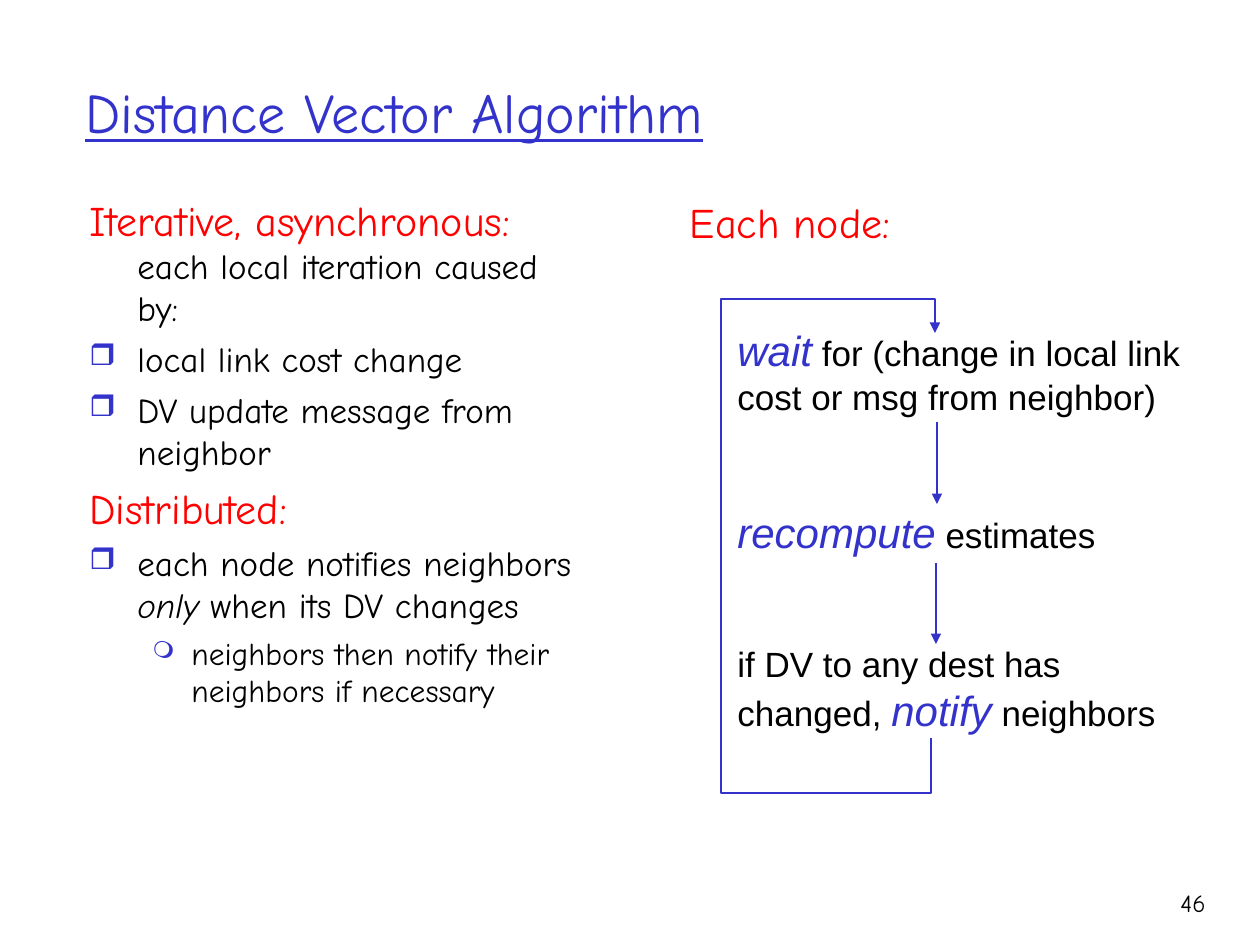
import pptx
import pptx.dml.color
import pptx.enum.shapes
import pptx.enum.text
import pptx.oxml.ns
import pptx.util
from lxml import etree

PX = 914400 / 126  # EMU in one px

THEME = {
    "accent": "3333CC", "heading": "FF0000", "body": "000000",
    "comic": "Comic Neue", "sans": "Arial",
    "title": 32, "large": 24, "text": 20, "sub": 18, "number": 14,
    "line": 1.5,
}

ALIGN = pptx.enum.text.PP_ALIGN
ANCHOR = pptx.enum.text.MSO_ANCHOR
qn = pptx.oxml.ns.qn


def px(n):
    return round(n * PX)


def rgb(name):
    return pptx.dml.color.RGBColor.from_string(THEME[name])


def style(color, size, font="comic", **extra):
    return {"color": color, "size": size, "name": font, **extra}


HEADING = style("heading", "large")
TEXT = style("body", "text")
SANS = style("body", "text", "sans")
ACTION = style("accent", "large", "sans", italic=True)


def add_run(p, text, fmt):
    r = p.add_run()
    r.text = text
    for key, value in fmt.items():
        if key == "color":
            r.font.color.rgb = rgb(value)
        elif key == "size":
            r.font.size = pptx.util.Pt(THEME[value])
        elif key == "name":
            r.font.name = THEME[value]
        else:
            setattr(r.font, key, value)


def set_bullet(p, char, percent):
    """Give the paragraph a coloured bullet, or none when char is empty."""
    pPr = p._p.get_or_add_pPr()
    if not char:
        etree.SubElement(pPr, qn("a:buNone"))
        return
    clr = etree.SubElement(pPr, qn("a:buClr"))
    etree.SubElement(clr, qn("a:srgbClr"), val=THEME["accent"])
    etree.SubElement(pPr, qn("a:buSzPct"), val=str(percent * 1000))
    etree.SubElement(pPr, qn("a:buChar"), char=char)


def set_indent(p, margin, hang):
    pPr = p._p.get_or_add_pPr()
    pPr.set("marL", str(px(margin)))
    pPr.set("indent", str(px(-hang)))


def add_text(slide, box, paragraphs, align=ALIGN.LEFT, **frame):
    """Each paragraph is (runs, space before, optional bullet and indent)."""
    tf = slide.shapes.add_textbox(*map(px, box)).text_frame
    for key, value in {"word_wrap": True, **frame}.items():
        setattr(tf, key, value)
    for i, (runs, before, *listing) in enumerate(paragraphs):
        p = tf.paragraphs[0] if i == 0 else tf.add_paragraph()
        p.alignment = align
        if listing:
            char, percent, margin, hang = listing
            set_bullet(p, char, percent)
            set_indent(p, margin, hang)
        if before:
            p.space_before = pptx.util.Pt(before)
        for text, fmt in runs:
            add_run(p, text, fmt)


def style_line(sp):
    """Accent line with an arrowhead at its end."""
    sp.line.color.rgb = rgb("accent")
    sp.line.width = pptx.util.Pt(THEME["line"])
    etree.SubElement(sp.line._get_or_add_ln(), qn("a:tailEnd"), type="triangle")


def add_arrow(slide, x, top, bottom):
    straight = pptx.enum.shapes.MSO_CONNECTOR.STRAIGHT
    sp = slide.shapes.add_connector(straight, px(x), px(top), px(x), px(bottom))
    style_line(sp)
    etree.SubElement(sp._element.spPr, qn("a:effectLst"))


def add_loop(slide, points):
    builder = slide.shapes.build_freeform(*points[0], scale=PX)
    builder.add_line_segments(points[1:], close=False)
    sp = builder.convert_to_shape()
    sp.fill.background()
    style_line(sp)
    sp.shadow.inherit = False


def main():
    prs = pptx.Presentation()
    prs.slide_width, prs.slide_height = px(1260), px(945)
    slide = prs.slides.add_slide(prs.slide_layouts[6])

    # Title
    title = style("accent", "title", underline=True)
    add_text(slide, (73, 32, 1071, 158),
             [([("Distance Vector Algorithm", title)], 0)],
             vertical_anchor=ANCHOR.MIDDLE)

    # Properties of the algorithm
    plain = ("", 0, 48, 48)
    item = ("❒", 85, 48, 48)
    sub_item = ("❍", 75, 102, 39)
    add_text(slide, (77, 188, 522, 640), [
        ([("Iterative, asynchronous: ", HEADING),
          ("each local iteration caused by:", TEXT)], 0, *plain),
        ([("local link cost change", TEXT)], 5, *item),
        ([("DV update message from neighbor", TEXT)], 5, *item),
        ([("Distributed:", HEADING)], 6, *plain),
        ([("each node notifies neighbors ", TEXT),
          ("only", {**TEXT, "italic": True}),
          (" when its DV changes", TEXT)], 5, *item),
        ([("neighbors then notify their neighbors if necessary",
           style("body", "sub"))], 4.5, *sub_item),
    ])

    # Steps of each node
    add_text(slide, (725, 243, 485, 556), [
        ([("wait", ACTION),
          (" for (change in local link cost or msg from neighbor)", SANS)], 0),
        ([("recompute", ACTION), (" estimates", SANS)], 51),
        ([("if DV to any dest has changed, ", SANS), ("notify", ACTION),
          (" neighbors", SANS)], 49),
    ], margin_top=px(82))

    # Arrows between the steps, and the loop back to the first
    add_arrow(slide, 937, 422, 504)
    add_arrow(slide, 936, 563, 644)
    add_loop(slide, [(931, 738), (931, 793), (721, 793),
                     (721, 299), (935, 299), (935, 333)])

    # Heading of the steps
    add_text(slide, (677, 190, 226, 63), [([("Each node:", HEADING)], 0)],
             align=ALIGN.CENTER, word_wrap=False)

    # Slide number
    add_text(slide, (1125, 882, 93, 63),
             [([("46", style("body", "number"))], 0)], align=ALIGN.RIGHT)

    prs.save("out.pptx")


if __name__ == "__main__":
    main()
